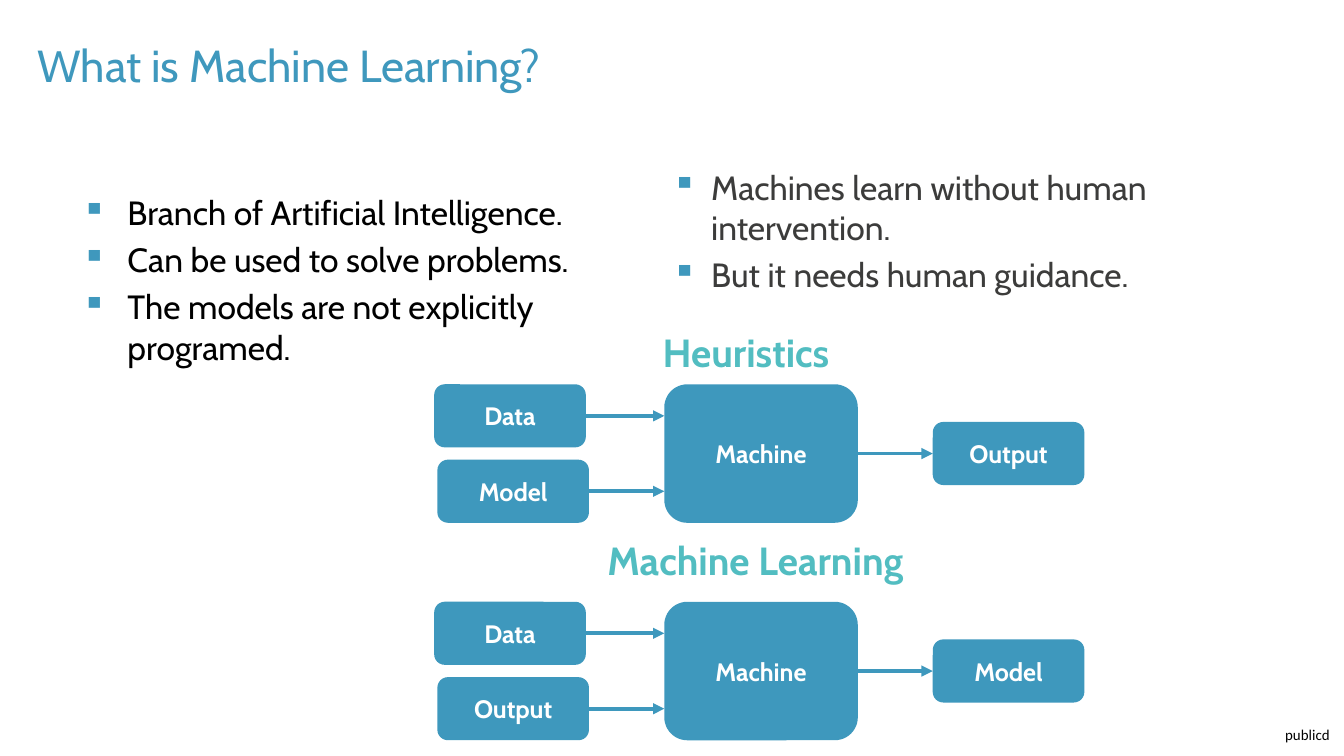
"""Build a slide that contrasts heuristics with machine learning."""
import dataclasses
import typing

import lxml.etree
import pptx
import pptx.dml.color
import pptx.enum.shapes
import pptx.enum.text
import pptx.oxml.ns
import pptx.util

Pt = pptx.util.Pt
Align = pptx.enum.text.PP_ALIGN
Anchor = pptx.enum.text.MSO_ANCHOR


@dataclasses.dataclass(frozen=True)
class Theme:
    font: str = "Cabin"
    footer_font: str = "Calibri"
    title_color: str = "3F98BD"
    block_color: str = "3E98BD"
    heading_color: str = "52BDC1"
    black: str = "000000"
    gray: str = "3C3C3B"
    white: str = "FFFFFF"
    title_size: float = 24
    heading_size: float = 21
    body_size: float = 18
    label_size: float = 13.5
    footer_size: float = 8


class Area(typing.NamedTuple):
    left: float
    top: float
    width: float
    height: float


@dataclasses.dataclass(frozen=True)
class Flow:
    heading: str
    heading_area: Area
    top: float
    inputs: tuple[str, str]
    result: str


THEME = Theme()
FLOWS = (
    Flow("Heuristics", Area(355, 175.7, 103.7, 33.8), 205.9, ("Data", "Model"), "Output"),
    Flow("Machine Learning", Area(325.4, 287.4, 162.7, 33.8), 322.4, ("Data", "Output"), "Model"),
)


def rgb(color: str) -> pptx.dml.color.RGBColor:
    return pptx.dml.color.RGBColor.from_string(color)


def add_bullet(para, indent: float) -> None:
    properties = para._p.get_or_add_pPr()
    properties.set("marL", str(Pt(indent)))
    properties.set("indent", str(-Pt(indent)))
    qn = pptx.oxml.ns.qn
    bullet_color = lxml.etree.SubElement(properties, qn("a:buClr"))
    lxml.etree.SubElement(bullet_color, qn("a:srgbClr"), val=THEME.title_color)
    lxml.etree.SubElement(properties, qn("a:buChar"), char="▪")


def write_text(shape, *lines: str, size: float, color: str, font: str = THEME.font,
               bold: bool = False, align=Align.LEFT, anchor=Anchor.TOP,
               insets: tuple[float, float] = (0, 0), wrap: bool = True,
               bullet_indent: float = 0, before: float = 0, after: float = 0) -> None:
    frame = shape.text_frame
    frame.word_wrap = wrap
    frame.vertical_anchor = anchor
    frame.margin_left = frame.margin_right = Pt(insets[0])
    frame.margin_top = frame.margin_bottom = Pt(insets[1])
    for index, line in enumerate(lines):
        para = frame.add_paragraph() if index else frame.paragraphs[0]
        if bullet_indent:
            add_bullet(para, bullet_indent)
        para.alignment = align
        if index and before:
            para.space_before = Pt(before)
        if after:
            para.space_after = Pt(after)
        span = para.add_run()
        span.text = line
        span.font.name = font
        span.font.size = Pt(size)
        span.font.bold = bold
        span.font.color.rgb = rgb(color)


def add_text(page, area: Area, *lines: str, **text_format) -> None:
    box = page.shapes.add_textbox(*map(Pt, area))
    write_text(box, *lines, **text_format)


def add_block(page, area: Area, label: str) -> None:
    block = page.shapes.add_shape(
        pptx.enum.shapes.MSO_SHAPE.ROUNDED_RECTANGLE, *map(Pt, area))
    block.shadow.inherit = False
    block.fill.solid()
    block.fill.fore_color.rgb = rgb(THEME.block_color)
    block.line.fill.background()
    write_text(block, label, size=THEME.label_size, color=THEME.white, bold=True,
               align=Align.CENTER, anchor=Anchor.MIDDLE, insets=(10.8, 10.8), after=3.4)


def add_arrow(page, start: float, end: float, height: float) -> None:
    arrow = page.shapes.add_connector(
        pptx.enum.shapes.MSO_CONNECTOR.STRAIGHT, *map(Pt, (start, height, end, height)))
    arrow.line.width = Pt(2)
    arrow.line.color.rgb = rgb(THEME.block_color)
    qn = pptx.oxml.ns.qn
    lxml.etree.SubElement(arrow.line._get_or_add_ln(), qn("a:tailEnd"), type="triangle")
    lxml.etree.SubElement(arrow._element.spPr, qn("a:effectLst"))


def add_flow(page, flow: Flow) -> None:
    machine = Area(355.9, flow.top, 103.7, 74.2)
    width, height = 81.2, 33.8
    result = Area(499.7, flow.top + (machine.height - height) / 2, width, height)
    add_block(page, machine, "Machine")
    for index, label in enumerate(flow.inputs):
        source = Area(232.6 + 1.7 * index, flow.top + 40.4 * index, width, height)
        add_block(page, source, label)
        add_arrow(page, source.left + width, machine.left, source.top + height / 2)
    add_block(page, result, flow.result)
    add_arrow(page, machine.left + machine.width, result.left, result.top + height / 2)
    add_text(page, flow.heading_area, flow.heading, size=THEME.heading_size,
             color=THEME.heading_color, bold=True, wrap=False)


def main() -> None:
    deck = pptx.Presentation()
    deck.slide_width, deck.slide_height = Pt(720), Pt(405)
    page = deck.slides.add_slide(deck.slide_layouts[6])
    add_text(page, Area(639.4, 388.8, 73, 9.6), "publicd", size=THEME.footer_size,
             color=THEME.black, font=THEME.footer_font, align=Align.RIGHT)
    add_text(page, Area(13, 16.6, 689, 36), "What is Machine Learning?",
             size=THEME.title_size, color=THEME.title_color, anchor=Anchor.BOTTOM,
             insets=(7.2, 3.6))
    add_text(page, Area(36.7, 89.3, 323.3, 121), "Branch of Artificial Intelligence.",
             "Can be used to solve problems.", "The models are not explicitly programed.",
             size=THEME.body_size, color=THEME.black, anchor=Anchor.MIDDLE,
             insets=(7.2, 3.6), bullet_indent=24.5, before=3.6)
    add_text(page, Area(360, 89.3, 323.3, 87.8), "Machines learn without human intervention.",
             "But it needs human guidance.", size=THEME.body_size, color=THEME.gray,
             bullet_indent=21, before=3.6)
    for flow in FLOWS:
        add_flow(page, flow)
    deck.save("out.pptx")


if __name__ == "__main__":
    main()
